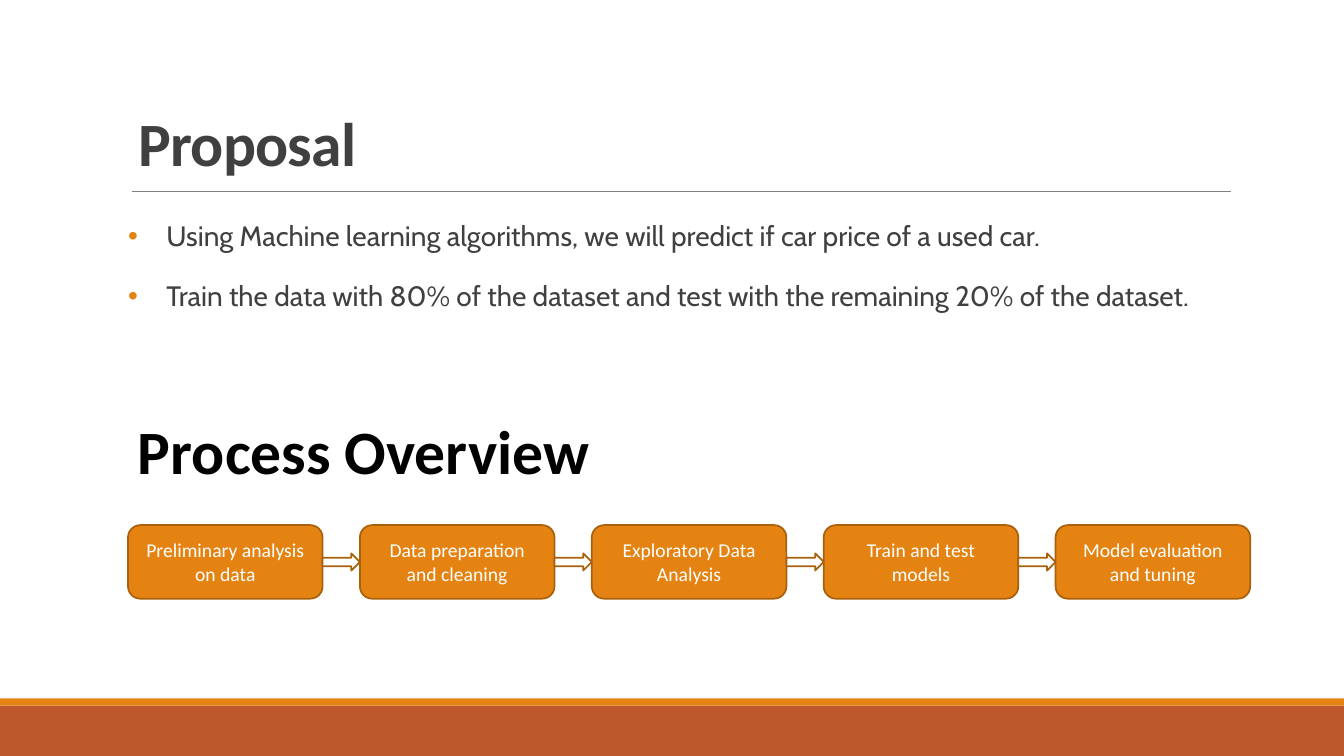
from lxml.etree import SubElement
from pptx import Presentation
from pptx.dml.color import RGBColor
from pptx.enum.shapes import MSO_CONNECTOR, MSO_SHAPE
from pptx.enum.text import MSO_ANCHOR, MSO_AUTO_SIZE, PP_ALIGN
from pptx.oxml.ns import qn
from pptx.util import Inches, Pt

WIDTH, HEIGHT = 13.33, 7.5
LEFT = 1.27
STEP_WIDTH, STEP_HEIGHT, STEP_PITCH = 1.93, 0.73, 2.3
STEP_TOP, ARROW_TOP, ARROW_HEIGHT = 5.21, 5.49, 0.17
ORANGE, RUST, BROWN = "E48312", "BD582C", "A9610D"
WHITE, BLACK, DARK, GREY = "FFFFFF", "000000", "404040", "808080"

GOALS = [
    "Using Machine learning algorithms, we will predict if car price of a used car.",
    "Train the data with 80% of the dataset and test with the remaining 20% of the dataset.",
]
STEPS = [
    "Preliminary analysis on data",
    "Data preparation and cleaning",
    "Exploratory Data Analysis",
    "Train and test models",
    "Model evaluation and tuning",
]


def color(value):
    return RGBColor.from_string(value)


def box(left, top, width, height):
    return [Inches(length) for length in (left, top, width, height)]


def add_run(paragraph, text, size, ink, font="Calibri", bold=False):
    run = paragraph.add_run()
    run.text = text
    run.font.size = Pt(size)
    run.font.name = font
    run.font.bold = bold
    run.font.color.rgb = color(ink)
    return run


def add_block(slide, kind, place, fill, outline=None):
    block = slide.shapes.add_shape(kind, *box(*place))
    block.shadow.inherit = False
    block.fill.solid()
    block.fill.fore_color.rgb = color(fill)
    if outline:
        block.line.color.rgb = color(outline)
        block.line.width = Pt(1.25)
    else:
        block.line.fill.background()
    return block


def add_rule(slide, start, end, y):
    rule = slide.shapes.add_connector(
        MSO_CONNECTOR.STRAIGHT, Inches(start), Inches(y), Inches(end), Inches(y))
    rule.line.color.rgb = color(GREY)
    rule.line.width = Pt(0.5)
    SubElement(rule.element.spPr, qn("a:effectLst"))


def write_heading(heading, text, ink, spacing):
    frame = heading.text_frame
    frame.word_wrap = True
    frame.auto_size = MSO_AUTO_SIZE.NONE
    frame.vertical_anchor = MSO_ANCHOR.BOTTOM
    paragraph = frame.paragraphs[0]
    paragraph.alignment = PP_ALIGN.LEFT
    paragraph.line_spacing = spacing
    return add_run(paragraph, text, 44, ink, bold=True)


def add_title(slide, text):
    title = slide.shapes.title
    title.left, title.top, title.width, title.height = box(LEFT, 0.94, 12.05, 0.89)
    run = write_heading(title, text, DARK, 0.85)
    run.font._element.set("spc", "-50")


def add_bullet(paragraph):
    properties = paragraph._p.get_or_add_pPr()
    properties.set("marL", str(Inches(0.38)))
    properties.set("indent", str(-Inches(0.38)))
    tint = SubElement(properties, qn("a:buClr"))
    SubElement(tint, qn("a:srgbClr"), val=ORANGE)
    SubElement(properties, qn("a:buFont"), typeface="Arial")
    SubElement(properties, qn("a:buChar"), char="•")


def add_goals(slide, goals):
    frame = slide.shapes.add_textbox(*box(LEFT, 2.16, 10.77, 1.82)).text_frame
    frame.word_wrap = True
    frame.margin_left = frame.margin_right = 0
    for index, goal in enumerate(goals):
        paragraph = frame.add_paragraph() if index else frame.paragraphs[0]
        add_bullet(paragraph)
        paragraph.line_spacing = 0.9
        if index:
            paragraph.space_before = Pt(21)
        add_run(paragraph, goal, 20, DARK, "Cabin")


def add_step(slide, left, text):
    step = add_block(slide, MSO_SHAPE.ROUNDED_RECTANGLE,
                     (left, STEP_TOP, STEP_WIDTH, STEP_HEIGHT), ORANGE, BROWN)
    frame = step.text_frame
    frame.word_wrap = True
    frame.vertical_anchor = MSO_ANCHOR.MIDDLE
    paragraph = frame.paragraphs[0]
    paragraph.alignment = PP_ALIGN.CENTER
    add_run(paragraph, text, 14, WHITE)


def add_process(slide, steps):
    lefts = [LEFT + index * STEP_PITCH for index in range(len(steps))]
    for left, text in zip(lefts, steps):
        add_step(slide, left, text)
    for left in lefts[:-1]:
        add_block(slide, MSO_SHAPE.RIGHT_ARROW,
                  (left + STEP_WIDTH, ARROW_TOP, STEP_PITCH - STEP_WIDTH, ARROW_HEIGHT),
                  WHITE, BROWN)


def main():
    presentation = Presentation()
    presentation.slide_width = Inches(WIDTH)
    presentation.slide_height = Inches(HEIGHT)
    slide = presentation.slides.add_slide(presentation.slide_layouts[5])
    add_block(slide, MSO_SHAPE.RECTANGLE, (0, 7, WIDTH, 0.5), RUST)
    add_block(slide, MSO_SHAPE.RECTANGLE, (0, 6.93, WIDTH, 0.07), ORANGE)
    add_rule(slide, 1.31, 12.21, 1.9)
    add_title(slide, "Proposal")
    add_goals(slide, GOALS)
    overview = slide.shapes.add_textbox(*box(LEFT, 4, 12.05, 0.89))
    write_heading(overview, "Process Overview", BLACK, 0.9)
    add_process(slide, STEPS)
    presentation.save("out.pptx")


if __name__ == "__main__":
    main()
